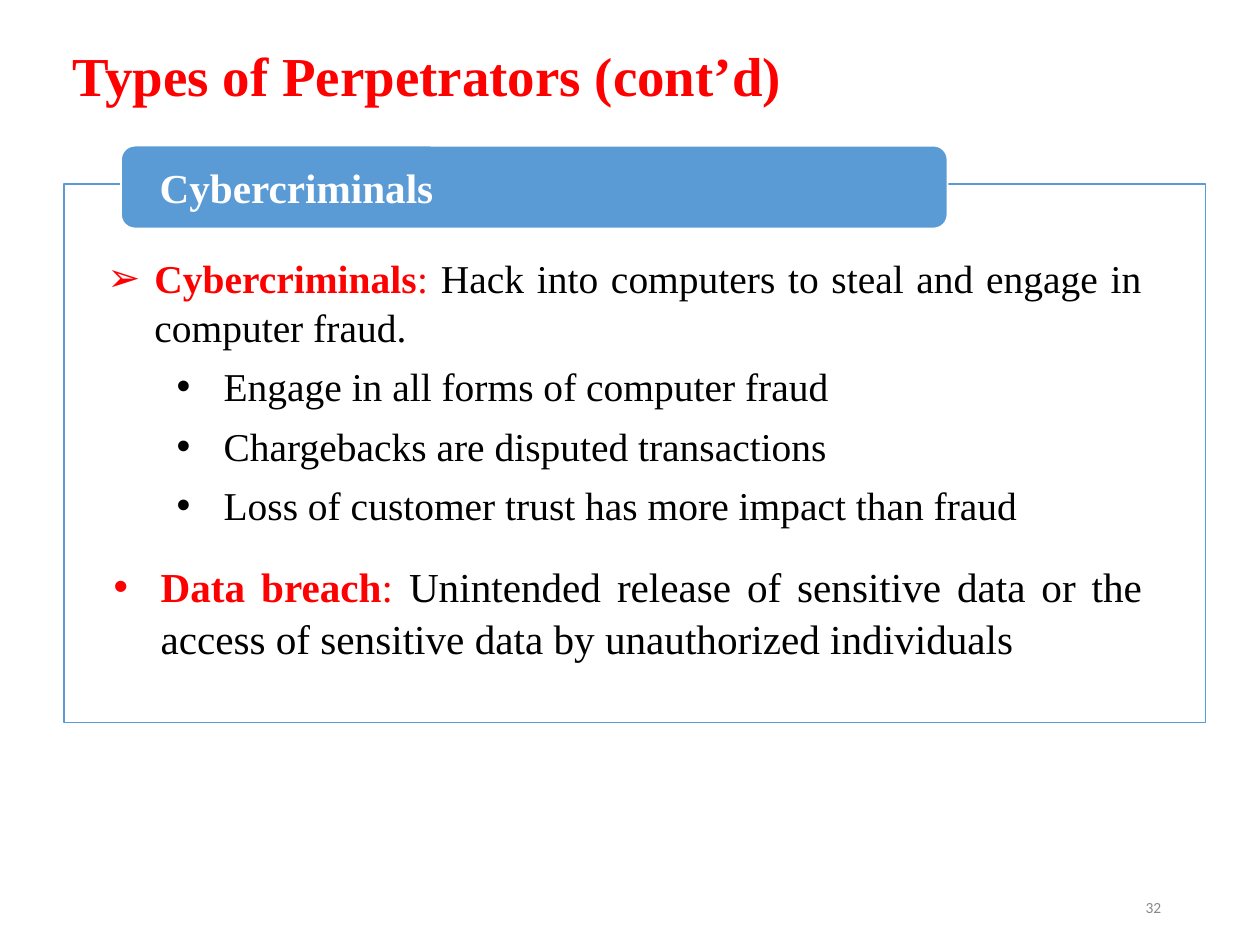
"""Build the slide on types of perpetrators: cybercriminals."""
import lxml.etree
import pptx
import pptx.dml.color
import pptx.enum.shapes
import pptx.enum.text
import pptx.oxml.ns
import pptx.util

WIDTH, HEIGHT = pptx.util.Inches(10.2), pptx.util.Inches(7.7)
COLS, ROWS = 102, 77
SERIF = "Times New Roman"
RED, BLUE, WHITE, BLACK, GREY = "FF0000", "5B9BD5", "FFFFFF", "000000", "898989"
ALIGN = pptx.enum.text.PP_ALIGN
SUB_ITEMS = [
    "Engage in all forms of computer fraud",
    "Chargebacks are disputed transactions",
    "Loss of customer trust has more impact than fraud",
]


def rgb(code):
    """Turn a hex string into a colour."""
    return pptx.dml.color.RGBColor.from_string(code)


def grid(col, row, cols, rows):
    """Turn grid columns and rows into left, top, width and height."""
    return (int(WIDTH * col / COLS), int(HEIGHT * row / ROWS),
            int(WIDTH * cols / COLS), int(HEIGHT * rows / ROWS))


def place(sp, area):
    """Move a shape to a grid area."""
    sp.left, sp.top, sp.width, sp.height = grid(*area)


def paint(sp, fill, line):
    """Give a shape its fill and outline."""
    sp.fill.solid()
    sp.fill.fore_color.rgb = rgb(fill)
    sp.line.color.rgb = rgb(line)
    sp.line.width = pptx.util.Pt(1)


def set_frame(sp, anchor="MIDDLE", insets=(0.1, 0.05, 0.1, 0.05)):
    """Set wrapping, anchor and insets in inches, and return the text frame."""
    tf = sp.text_frame
    tf.word_wrap = True
    tf.auto_size = pptx.enum.text.MSO_AUTO_SIZE.NONE
    tf.vertical_anchor = pptx.enum.text.MSO_ANCHOR[anchor]
    tf.margin_left, tf.margin_top, tf.margin_right, tf.margin_bottom = map(
        pptx.util.Inches, insets)
    return tf


def write(p, text, size=23, color=BLACK, bold=False, font=SERIF):
    """Add a formatted run to a paragraph."""
    r = p.add_run()
    r.text = text
    r.font.size = pptx.util.Pt(size)
    r.font.name = font
    r.font.bold = bold
    r.font.color.rgb = rgb(color)


def add_item(tf, runs, bullet="•", indent=0.38, level=0, after=0):
    """Add a justified bulleted paragraph made of text and format pairs."""
    first = not tf.paragraphs[0].runs
    p = tf.paragraphs[0] if first else tf.add_paragraph()
    p.level = level
    p.alignment = ALIGN.JUSTIFY
    p.line_spacing = 1.04
    p.space_before = pptx.util.Pt(0 if first else 6)
    p.space_after = pptx.util.Pt(after)
    pPr = p._p.get_or_add_pPr()
    pPr.set("marL", str(pptx.util.Inches(indent)))
    pPr.set("indent", str(pptx.util.Inches(-0.38)))
    for tag, key, value in (("a:buFont", "typeface", "Arial"),
                            ("a:buChar", "char", bullet)):
        lxml.etree.SubElement(pPr, pptx.oxml.ns.qn(tag)).set(key, value)
    for text, style in runs:
        write(p, text, **style)


def add_title(slide, text):
    """Fill the title placeholder."""
    sp = slide.shapes.title
    place(sp, (4.9, 0, 90.1, 12.8))
    p = set_frame(sp).paragraphs[0]
    p.alignment = ALIGN.LEFT
    p.line_spacing = 0.9
    write(p, text, size=32, color=RED, bold=True)


def add_list(slide):
    """Fill the outlined body placeholder with the definitions."""
    sp = slide.placeholders[1]
    place(sp, (5.2, 14.9, 92.4, 43.6))
    paint(sp, WHITE, BLUE)
    tf = set_frame(sp, "TOP", (0.35, 0.55, 0.51, 0.15))
    add_item(tf, [
        ("Cybercriminals", {"color": RED, "bold": True}),
        (": ", {"color": RED}),
        ("Hack into computers to steal and engage in computer fraud.", {}),
    ], bullet="➢")
    for text in SUB_ITEMS:
        add_item(tf, [(text, {})], indent=0.94, level=1,
                 after=12 if text == SUB_ITEMS[-1] else 0)
    add_item(tf, [
        ("Data breach", {"size": 24, "color": RED, "bold": True}),
        (":", {"size": 24, "color": RED}),
        (" Unintended release of sensitive data or the access of sensitive "
         "data by unauthorized individuals", {"size": 24}),
    ], indent=0.43)


def add_banner(slide, text):
    """Add the rounded heading that overlaps the list's top edge."""
    sp = slide.shapes.add_shape(
        pptx.enum.shapes.MSO_SHAPE.ROUNDED_RECTANGLE, *grid(9.8, 11.8, 66.9, 6.7))
    sp.shadow.inherit = False
    paint(sp, BLUE, WHITE)
    p = set_frame(sp, insets=(0.28, 0.03, 0.28, 0.03)).paragraphs[0]
    p.alignment = ALIGN.LEFT
    write(p, text, size=24, color=WHITE, bold=True)


def add_page_number(slide, text):
    """Add the page number at the lower right."""
    sp = slide.shapes.add_textbox(*grid(72, 71.4, 23, 4.1))
    p = set_frame(sp).paragraphs[0]
    p.alignment = ALIGN.RIGHT
    write(p, text, size=9, color=GREY, font="Calibri")


def main():
    """Build and save the slide."""
    prs = pptx.Presentation()
    prs.slide_width, prs.slide_height = WIDTH, HEIGHT
    slide = prs.slides.add_slide(prs.slide_layouts[1])
    add_title(slide, "Types of Perpetrators (cont’d)")
    add_list(slide)
    add_banner(slide, "Cybercriminals")
    add_page_number(slide, "32")
    prs.save("out.pptx")


if __name__ == "__main__":
    main()
